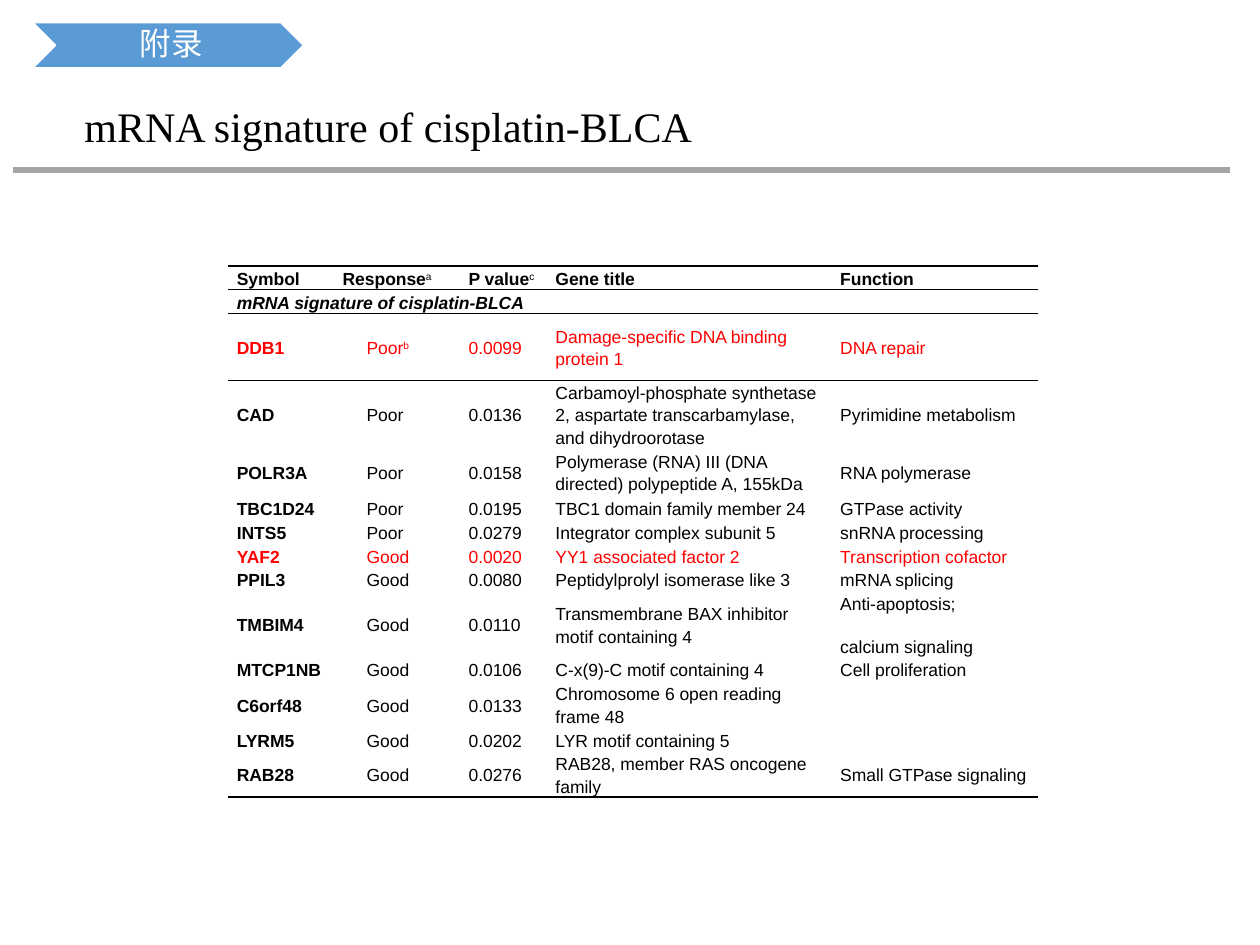
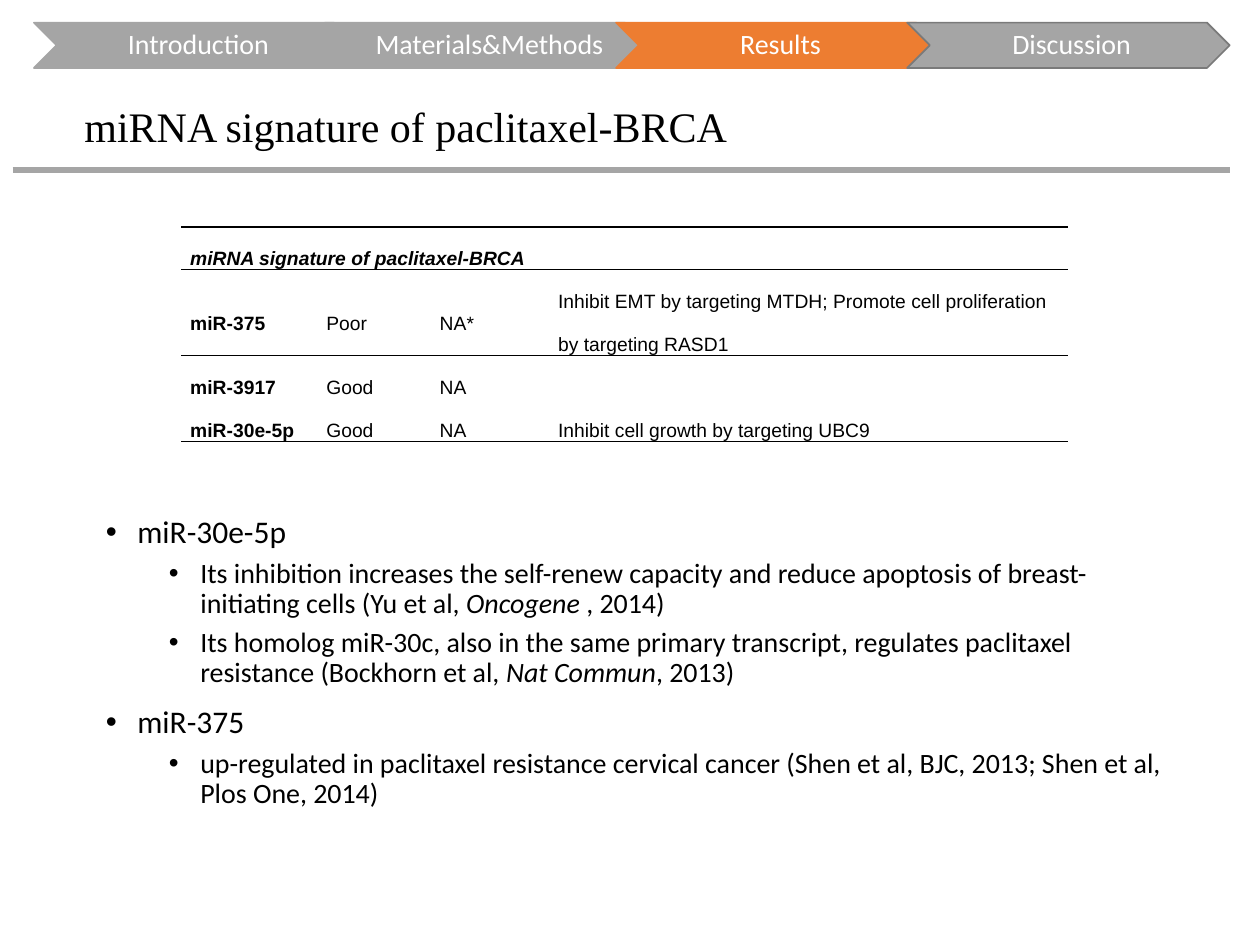
import lxml.etree
import pptx
import pptx.dml.color
import pptx.enum.shapes
import pptx.enum.text
import pptx.oxml.ns
import pptx.util

Inches = pptx.util.Inches
Pt = pptx.util.Pt
qn = pptx.oxml.ns.qn
Sub = lxml.etree.SubElement
ALIGN = pptx.enum.text.PP_ALIGN
MIDDLE = pptx.enum.text.MSO_ANCHOR.MIDDLE

BLACK, WHITE, RED = "000000", "FFFFFF", "FF0000"
GRAY, DARK, BLUE, ORANGE = "A5A5A5", "7A7A7A", "5B9BD5", "ED7D31"
PLAIN = "{2D5ABB26-0587-4C30-8999-92F81FD0307C}"  # table style without grid


def color(code):
    return pptx.dml.color.RGBColor.from_string(code)


def write(para, text, font="Calibri", size=16, ink=BLACK, bold=False, ital=False,
          mark="ital", line=0.9, before=0, align=ALIGN.LEFT):
    """Fill a paragraph; pieces between bars are italic or superscript."""
    para.line_spacing, para.space_before, para.alignment = line, Pt(before), align
    for num, piece in enumerate(text.split("|")):
        if not piece:
            continue
        odd = num % 2 == 1
        run = para.add_run()
        run.text = piece
        run.font.name, run.font.size = font, Pt(size)
        run.font.color.rgb = color(ink)
        run.font.bold = bold and not (odd and mark == "sup")
        run.font.italic = ital or (odd and mark == "ital")
        if odd and mark == "sup":
            run.font._element.set("baseline", "30000")
    if not text:
        Sub(para._p, qn("a:endParaRPr"), sz=str(size * 100))


# Gene table: symbol, response, P value, title, function
genes = [
    ("DDB1", "Poor|b|", "0.0099", "Damage-specific DNA binding protein 1", "DNA repair"),
    ("CAD", "Poor", "0.0136", "Carbamoyl-phosphate synthetase 2, aspartate "
     "transcarbamylase, and dihydroorotase", "Pyrimidine metabolism"),
    ("POLR3A", "Poor", "0.0158",
     "Polymerase (RNA) III (DNA directed) polypeptide A, 155kDa", "RNA polymerase"),
    ("TBC1D24", "Poor", "0.0195", "TBC1 domain family member 24", "GTPase activity"),
    ("INTS5", "Poor", "0.0279", "Integrator complex subunit 5", "snRNA processing"),
    ("YAF2", "Good", "0.0020", "YY1 associated factor 2", "Transcription cofactor"),
    ("PPIL3", "Good", "0.0080", "Peptidylprolyl isomerase like 3", "mRNA splicing"),
    ("TMBIM4", "Good", "0.0110", "Transmembrane BAX inhibitor motif containing 4",
     "Anti-apoptosis;\ncalcium signaling"),
    ("MTCP1NB", "Good", "0.0106", "C-x(9)-C motif containing 4", "Cell proliferation"),
    ("C6orf48", "Good", "0.0133", "Chromosome 6 open reading frame 48", ""),
    ("LYRM5", "Good", "0.0202", "LYR motif containing 5", ""),
    ("RAB28", "Good", "0.0276", "RAB28, member RAS oncogene family",
     "Small GTPase signaling"),
]

# What each slide holds; rules are the row edges that carry a line
pages = [
    dict(
        title="mRNA signature of cisplatin-BLCA", layout=5,
        tabs=[("附录", BLUE, WHITE)], start=0.26, wide=2.15, tab_size=18,
        place=(1.81, 2.11), size=10, line=1.15, rules={0, 1, 2, 14},
        cols=[0.84, 0.19, 0.81, 0.69, 2.26, 1.64],
        highs=[0.19, 0.19, 0.53, 0.53, 0.38, 0.19, 0.19, 0.19, 0.19,
               0.52, 0.19, 0.37, 0.19, 0.35],
        rows=[["Symbol", "Response|a|", "", "P value|c|", "Gene title", "Function"],
              ["mRNA signature of cisplatin-BLCA"] + [""] * 5]
        + [[gene[0], "", *gene[1:]] for gene in genes],
        heads=1, band=1,
        spans=[(0, 1, 2), (1, 0, 4)] + [(row, 0, 1) for row in range(2, 14)]),
    dict(
        title="miRNA signature of paclitaxel-BRCA", layout=1,
        tabs=[("Introduction", GRAY, GRAY), ("Materials&Methods", GRAY, GRAY),
              ("Results", ORANGE, ORANGE), ("Discussion", GRAY, DARK)],
        start=0.27, wide=2.56, tab_size=16,
        place=(1.44, 1.8), size=11, line=2, rules={0, 1, 4},
        cols=[1.08, 0.9, 0.76, 0.18, 4.12], highs=[0.34, 0.68, 0.34, 0.34],
        rows=[["miRNA signature of paclitaxel-BRCA"] + [""] * 4,
              ["miR-375", "Poor", "NA*", "", "Inhibit EMT by targeting MTDH; "
               "Promote cell proliferation by targeting RASD1"],
              ["miR-3917", "Good", "NA", "", ""],
              ["miR-30e-5p", "Good", "NA", "", "Inhibit cell growth by targeting UBC9"]],
        heads=0, band=0, spans=[(0, 0, 3)]),
]

notes = [
    (0, "miR-30e-5p"),
    (1, "Its inhibition increases the self-renew capacity and reduce apoptosis of "
        "breast-initiating cells (Yu et al, |Oncogene| , 2014)"),
    (1, "Its homolog miR-30c, also in the same primary transcript, regulates "
        "paclitaxel resistance (Bockhorn et al, |Nat Commun|, 2013)"),
    (0, "miR-375"),
    (1, "up-regulated in paclitaxel resistance cervical cancer (Shen et al, BJC, "
        "2013; Shen et al, Plos One, 2014)"),
]

deck = pptx.Presentation()
deck.slide_width, deck.slide_height = Inches(10), Inches(7.5)

for page in pages:
    slide = deck.slides.add_slide(deck.slide_layouts[page["layout"]])
    shapes = slide.shapes

    # Title and the line below it
    title = shapes.title
    title.left, title.top = Inches(0.57), Inches(0.68)
    title.width, title.height = Inches(8.98), Inches(0.69)
    title.text_frame.auto_size = pptx.enum.text.MSO_AUTO_SIZE.NONE
    title.text_frame.vertical_anchor = MIDDLE
    write(title.text_frame.paragraphs[0], page["title"], font="Times New Roman", size=24)
    rule = shapes.add_connector(pptx.enum.shapes.MSO_CONNECTOR.STRAIGHT,
                                Inches(0.1), Inches(1.35), Inches(9.76), Inches(1.35))
    rule.line.color.rgb, rule.line.width = color(GRAY), Pt(3)
    Sub(rule._element.spPr, qn("a:effectLst"))

    # Section chevrons
    for num, (name, fill, edge) in enumerate(page["tabs"]):
        tab = shapes.add_shape(pptx.enum.shapes.MSO_SHAPE.CHEVRON,
                               Inches(page["start"] + 2.31 * num), Inches(0.18),
                               Inches(page["wide"]), Inches(0.36))
        tab.shadow.inherit = False
        tab.fill.solid()
        tab.fill.fore_color.rgb = color(fill)
        tab.line.color.rgb, tab.line.width = color(edge), Pt(1)
        frame = tab.text_frame
        frame.word_wrap, frame.vertical_anchor = True, MIDDLE
        frame.margin_left = Inches(0.07)
        frame.margin_right = frame.margin_top = frame.margin_bottom = Inches(0.02)
        write(frame.paragraphs[0], name, size=page["tab_size"], ink=WHITE,
              align=ALIGN.CENTER)

    # Signature table
    rows, cols, highs = page["rows"], page["cols"], page["highs"]
    left, top = page["place"]
    holder = shapes.add_table(len(rows), len(cols), Inches(left), Inches(top),
                              Inches(sum(cols)), Inches(sum(highs)))
    for style in holder._element.iter(qn("a:tableStyleId")):
        style.text = PLAIN
    table = holder.table
    table.first_row = table.horz_banding = False
    for col, wide in zip(table.columns, cols):
        col.width = Inches(wide)
    for num, (high, texts) in enumerate(zip(highs, rows)):
        table.rows[num].height = Inches(high)
        ink = RED if texts[0] in ("DDB1", "YAF2") else BLACK
        for col, text in enumerate(texts):
            cell = table.cell(num, col)
            cell.vertical_anchor = MIDDLE
            cell.margin_left = cell.margin_right = Inches(0.07)
            cell.margin_top = cell.margin_bottom = 0
            for step, part in enumerate(text.split("\n")):
                frame = cell.text_frame
                para = frame.add_paragraph() if step else frame.paragraphs[0]
                write(para, part, font="Arial", size=page["size"], ink=ink,
                      bold=col == 0 or num < page["heads"], ital=num == page["band"],
                      mark="sup", line=page["line"], before=12 if step else 0)
            for side, spot in (("a:lnT", num), ("a:lnB", num + 1)):
                if spot in page["rules"]:
                    edge = Sub(cell._tc.get_or_add_tcPr(), qn(side), w=str(Pt(1)))
                    solid = Sub(edge, qn("a:solidFill"))
                    Sub(solid, qn("a:srgbClr"), val=BLACK)
            cell.fill.background()
    for num, first, last in page["spans"]:
        table.cell(num, first).merge(table.cell(num, last))

# Notes under the second table
body = slide.placeholders[1]
body.left, body.top = Inches(0.74), Inches(4.05)
body.width, body.height = Inches(8.62), Inches(3.4)
frame = body.text_frame
frame.auto_size = pptx.enum.text.MSO_AUTO_SIZE.NONE
for num, (level, text) in enumerate(notes):
    para = frame.add_paragraph() if num else frame.paragraphs[0]
    para.level = level
    props = para._p.get_or_add_pPr()
    props.set("marL", str(Inches(0.25 + 0.5 * level)))
    props.set("indent", str(Inches(-0.25)))
    Sub(props, qn("a:buFont"), typeface="Arial")
    Sub(props, qn("a:buChar"), char="•")
    write(para, text, size=18 - 2 * level, before=(10 - 5 * level) if num else 0)

deck.save("out.pptx")
